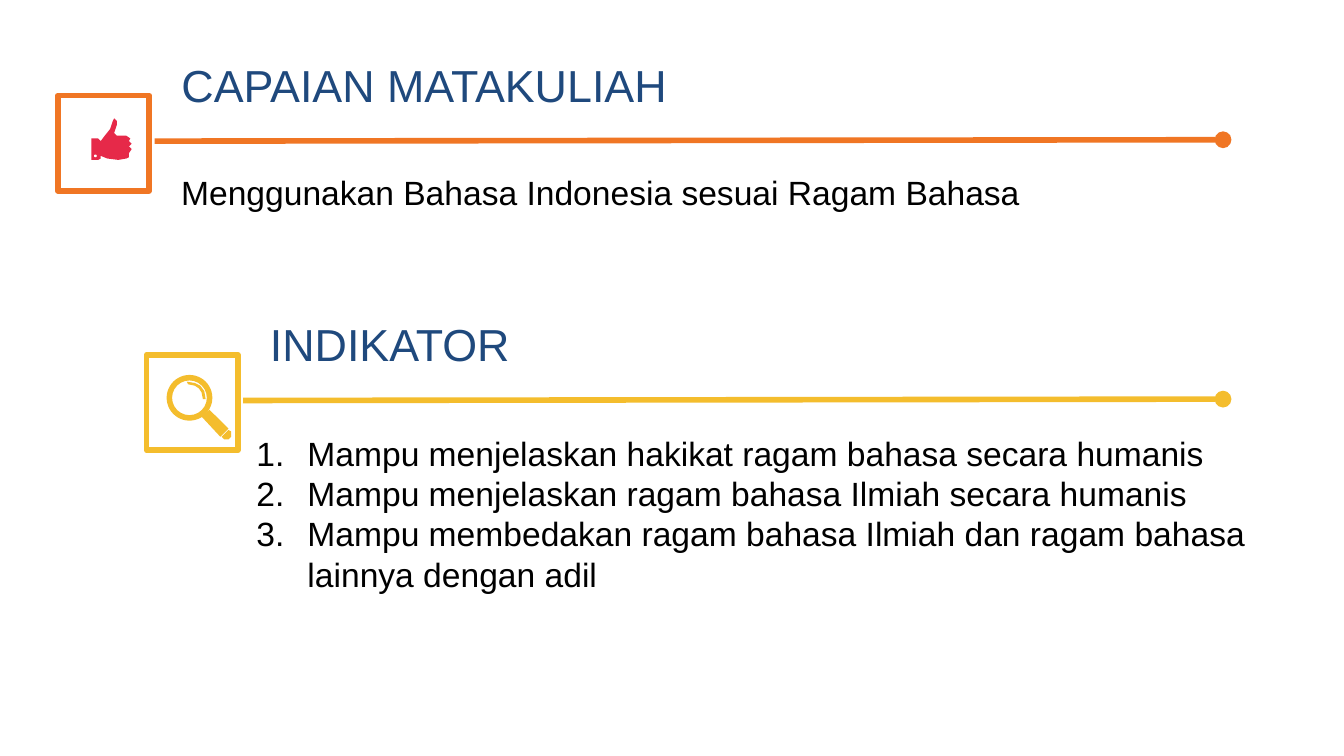
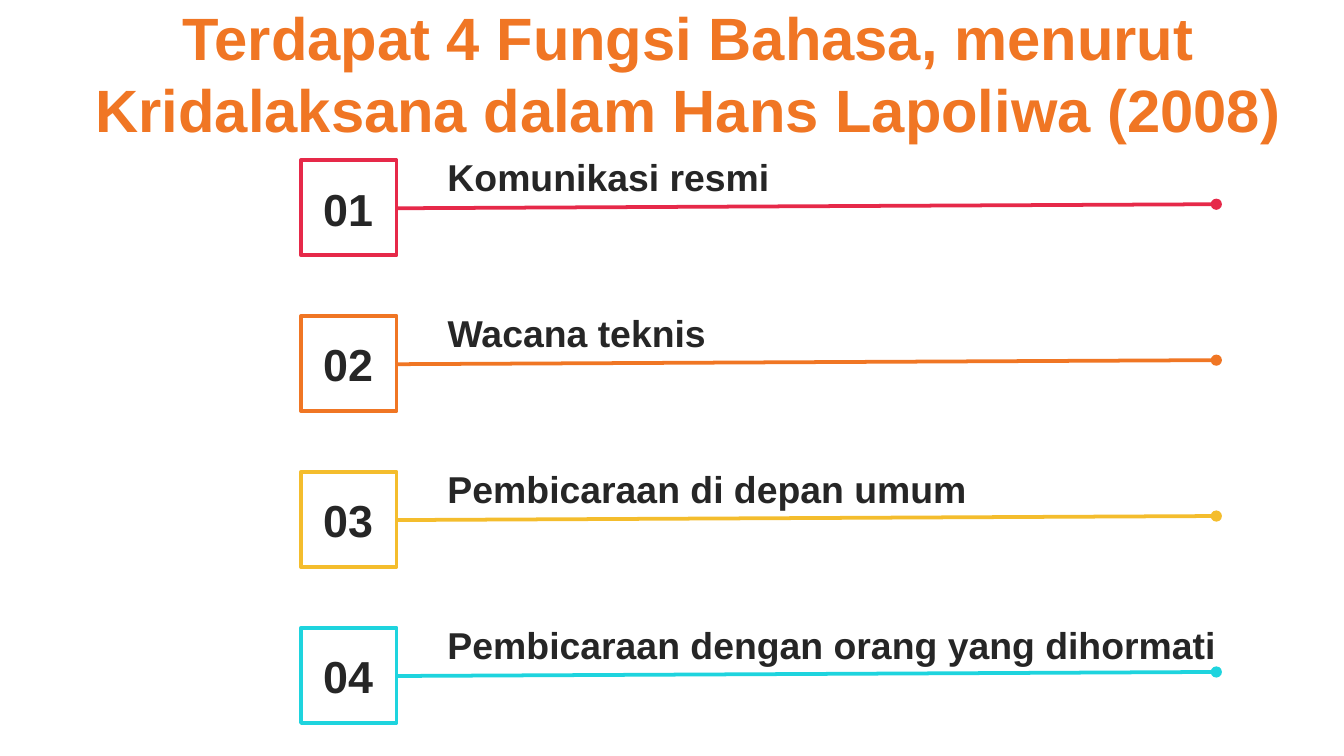
from pptx import Presentation
from pptx.dml.color import RGBColor
from pptx.enum.shapes import MSO_CONNECTOR, MSO_SHAPE
from pptx.enum.text import MSO_ANCHOR, MSO_AUTO_SIZE, PP_ALIGN
from pptx.oxml.ns import qn
from pptx.util import Inches, Pt
from lxml.etree import SubElement

FONT = "Arial"
RED, ORANGE, YELLOW, CYAN = "E62949", "F07624", "F4BD2D", "1ED4DE"
NAVY, BLACK, CHARCOAL, WHITE = "1F497D", "000000", "262626", "FFFFFF"

THUMB = [
    (0.42, 0.17), (0.44, 0.19), (0.44, 0.22), (0.42, 0.28), (0.44, 0.30),
    (0.51, 0.30), (0.54, 0.32), (0.53, 0.34), (0.55, 0.36), (0.53, 0.38),
    (0.55, 0.40), (0.53, 0.43), (0.53, 0.46), (0.51, 0.47), (0.45, 0.48),
    (0.37, 0.47), (0.32, 0.45), (0.32, 0.47), (0.30, 0.48), (0.25, 0.48),
    (0.25, 0.32), (0.30, 0.32), (0.32, 0.34), (0.35, 0.30), (0.39, 0.25),
    (0.41, 0.19),
]
HANDLE = [(0.47, 0.41), (0.61, 0.55), (0.55, 0.61), (0.41, 0.46)]
HANDLE_TIP = [(0.61, 0.56), (0.63, 0.57), (0.63, 0.61), (0.61, 0.63),
              (0.58, 0.63), (0.56, 0.61)]
GLINT = [(0.30, 0.20), (0.36, 0.21), (0.40, 0.23), (0.43, 0.27), (0.44, 0.33),
         (0.42, 0.33), (0.41, 0.28), (0.39, 0.25), (0.36, 0.23), (0.31, 0.22)]


def colour(value):
    """Turn a hex string into a colour."""
    return RGBColor.from_string(value)


def place(shape, box):
    """Move and size a shape to a box given in inches."""
    shape.left, shape.top, shape.width, shape.height = map(Inches, box)


def write(shape, text, size=18, color=BLACK, bold=False, align=PP_ALIGN.LEFT,
          anchor=MSO_ANCHOR.TOP, inset=0.1, numbered=False):
    """Write text into a shape, one paragraph for each line."""
    frame = shape.text_frame
    frame.word_wrap = True
    frame.auto_size = MSO_AUTO_SIZE.NONE
    frame.vertical_anchor = anchor
    frame.margin_left = frame.margin_right = Inches(inset)
    frame.margin_top = frame.margin_bottom = Inches(0.05)
    frame.text = text
    for paragraph in frame.paragraphs:
        paragraph.alignment = align
        font = paragraph.runs[0].font
        font.name, font.size, font.bold = FONT, Pt(size), bold
        font.color.rgb = colour(color)
        if numbered:
            properties = paragraph._p.get_or_add_pPr()
            properties.set("marL", str(Inches(0.38)))
            properties.set("indent", str(-Inches(0.38)))
            SubElement(properties, qn("a:buAutoNum"), type="arabicPeriod")


def add_text(slide, box, text, **text_format):
    """Add a text box."""
    write(slide.shapes.add_textbox(*map(Inches, box)), text, **text_format)


def add_title(slide, box, text, **text_format):
    """Move and fill the title placeholder."""
    place(slide.shapes.title, box)
    write(slide.shapes.title, text, **text_format)


def paint(shape, fill, line=None, width=1):
    """Set the fill and outline of a shape."""
    shape.shadow.inherit = False
    shape.fill.solid()
    shape.fill.fore_color.rgb = colour(fill)
    if line:
        shape.line.color.rgb = colour(line)
        shape.line.width = Pt(width)
    else:
        shape.line.fill.background()


def add_preset(slide, kind, box, fill, **outline):
    """Add a painted preset shape."""
    shape = slide.shapes.add_shape(kind, *map(Inches, box))
    paint(shape, fill, **outline)
    return shape


def add_outline(slide, left, top, points, fill):
    """Add a filled polygon whose points are relative to left and top."""
    corners = [(Inches(left + x), Inches(top + y)) for x, y in points]
    builder = slide.shapes.build_freeform(*corners[0])
    builder.add_line_segments(corners[1:], close=True)
    paint(builder.convert_to_shape(), fill)


def add_dotted_line(slide, start, end, color, width):
    """Add a line that ends in a dot."""
    ends = map(Inches, (*start, *end))
    connector = slide.shapes.add_connector(MSO_CONNECTOR.STRAIGHT, *ends)
    connector.line.color.rgb = colour(color)
    connector.line.width = Pt(width)
    SubElement(connector.line._get_or_add_ln(), qn("a:tailEnd"), type="oval")
    SubElement(connector._element.spPr, qn("a:effectLst"))


def draw_thumb(slide, left, top):
    """Draw a raised thumb in an icon box."""
    add_outline(slide, left, top, THUMB, RED)
    add_preset(slide, MSO_SHAPE.OVAL, (left + 0.27, top + 0.44, 0.02, 0.02), WHITE)


def draw_magnifier(slide, left, top):
    """Draw a magnifying glass in an icon box."""
    lens_box = (left + 0.15, top + 0.15, 0.34, 0.34)
    lens = add_preset(slide, MSO_SHAPE.DONUT, lens_box, YELLOW)
    lens.adjustments[0] = 0.12
    for points in (HANDLE, HANDLE_TIP, GLINT):
        add_outline(slide, left, top, points, YELLOW)


def draw_section(slide, left, top, color, heading, add_heading, draw_icon):
    """Draw an icon box with a heading above a dotted line."""
    add_heading(slide, (left + 0.82, top - 0.33, 5.45, 0.5), heading,
                size=24, color=NAVY)
    add_dotted_line(slide, (left + 0.72, top + 0.34), (9.1, top + 0.33), color, 3)
    add_preset(slide, MSO_SHAPE.RECTANGLE, (left, top, 0.68, 0.71), WHITE,
               line=color, width=3)
    draw_icon(slide, left, top)


def draw_function_row(slide, left, top, number, color, text, width):
    """Draw a numbered box with its label above a dotted line."""
    add_text(slide, (left + 0.97, top - 0.09, width, 0.44), text,
             size=20, color=CHARCOAL, bold=True, inset=0.12)
    add_dotted_line(slide, (left + 0.71, top + 0.36), (left + 6.81, top + 0.33),
                    color, 2)
    add_preset(slide, MSO_SHAPE.RECTANGLE, (left, top, 0.71, 0.71), WHITE,
               line=color, width=2)
    add_text(slide, (left + 0.04, top + 0.11, 0.62, 0.5), f"{number:02}",
             size=24, color=CHARCOAL, bold=True, align=PP_ALIGN.CENTER, inset=0.12)


def build_outcomes(slide):
    """Build the slide of course outcomes and indicators."""
    draw_section(slide, 0.43, 0.71, ORANGE, "CAPAIAN MATAKULIAH",
                 add_title, draw_thumb)
    add_text(slide, (1.25, 1.23, 7.6, 0.4),
             "Menggunakan Bahasa Indonesia sesuai Ragam Bahasa")
    draw_section(slide, 1.09, 2.64, YELLOW, "INDIKATOR", add_text, draw_magnifier)
    indicators = [
        "Mampu menjelaskan hakikat ragam bahasa secara humanis",
        "Mampu menjelaskan ragam bahasa Ilmiah secara humanis",
        "Mampu membedakan ragam bahasa Ilmiah dan ragam bahasa lainnya dengan adil",
    ]
    add_text(slide, (1.81, 3.17, 7.6, 1.62), "\n".join(indicators), numbered=True)


def build_functions(slide):
    """Build the slide of the four functions of language."""
    add_title(slide, (0.07, -0.05, 10.11, 1.18),
              "Terdapat 4 Fungsi Bahasa, menurut Kridalaksana dalam Hans Lapoliwa (2008)",
              size=32, color=ORANGE, bold=True, align=PP_ALIGN.CENTER,
              anchor=MSO_ANCHOR.MIDDLE)
    functions = [
        (RED, "Komunikasi resmi", 4.3),
        (ORANGE, "Wacana teknis", 3.82),
        (YELLOW, "Pembicaraan di depan umum", 4.3),
        (CYAN, "Pembicaraan dengan orang yang dihormati", 6.27),
    ]
    for index, (color, text, width) in enumerate(functions):
        draw_function_row(slide, 2.24, 1.19 + 1.16 * index, index + 1,
                          color, text, width)


def main():
    """Build and save the presentation."""
    presentation = Presentation()
    presentation.slide_width = Inches(10)
    presentation.slide_height = presentation.slide_width * 9 // 16
    for build in (build_outcomes, build_functions):
        build(presentation.slides.add_slide(presentation.slide_layouts[5]))
    presentation.save("out.pptx")


if __name__ == "__main__":
    main()
